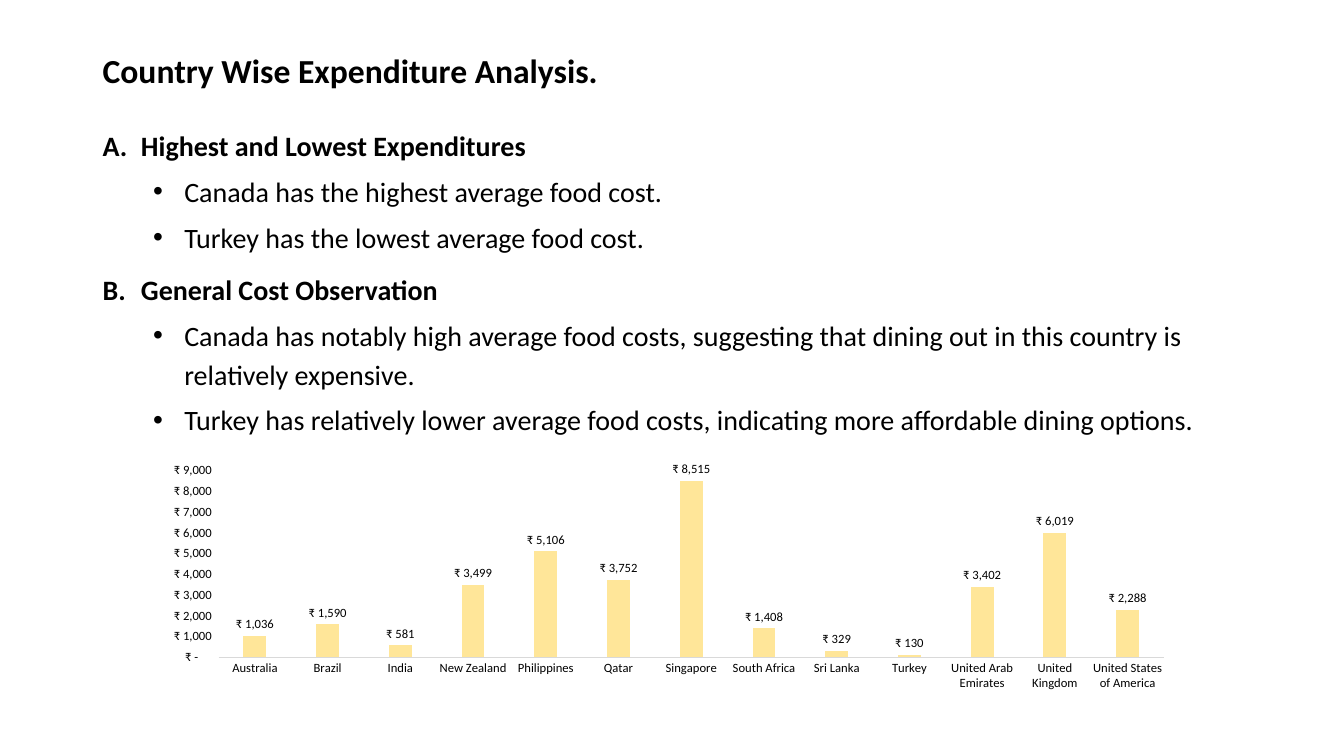
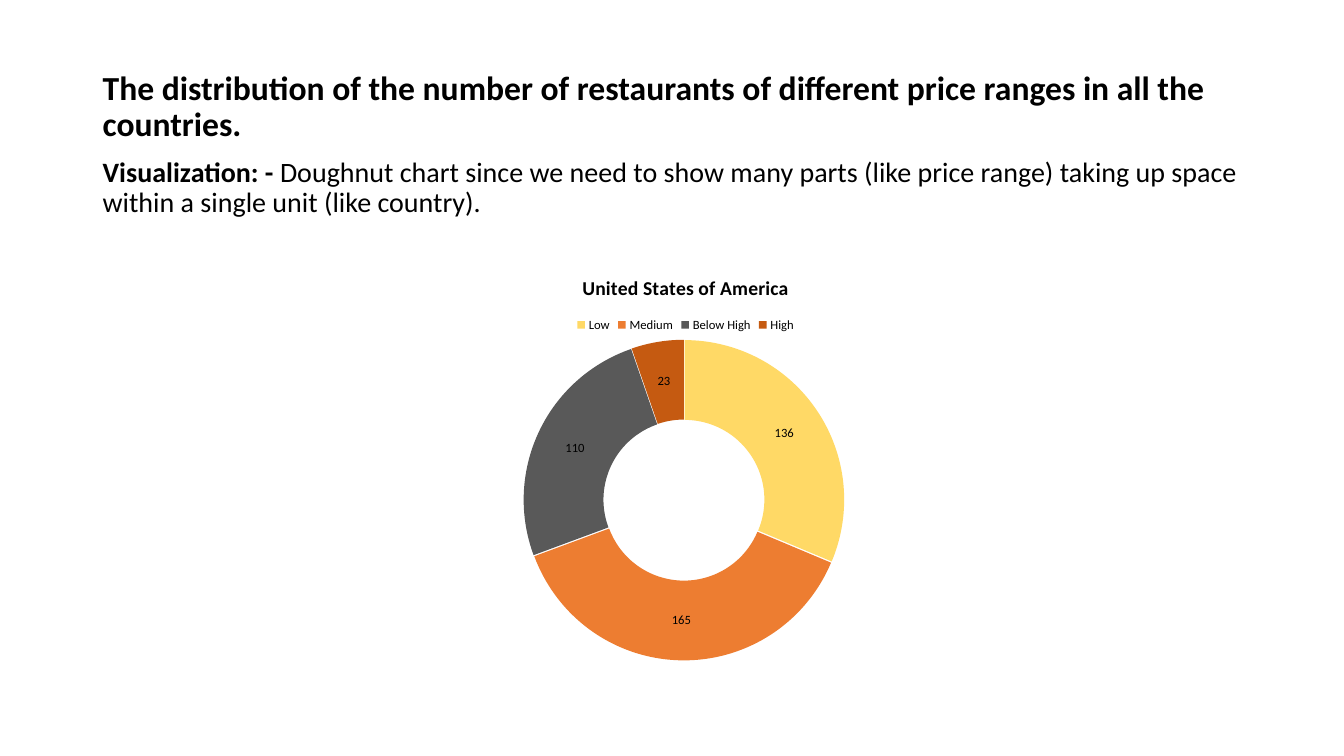
from lxml import etree
from pptx import Presentation
from pptx.chart.data import CategoryChartData
from pptx.dml.color import RGBColor
from pptx.enum.chart import XL_CHART_TYPE, XL_LABEL_POSITION, XL_LEGEND_POSITION, XL_TICK_MARK
from pptx.enum.text import MSO_ANCHOR
from pptx.oxml import parse_xml
from pptx.oxml.ns import nsdecls, qn
from pptx.util import Inches, Pt

COLUMN, DOUGHNUT = XL_CHART_TYPE.COLUMN_CLUSTERED, XL_CHART_TYPE.DOUGHNUT
ABOVE_BAR = XL_LABEL_POSITION.OUTSIDE_END
LEGEND_TOP = XL_LEGEND_POSITION.TOP
NO_TICK = XL_TICK_MARK.NONE
MIDDLE = MSO_ANCHOR.MIDDLE

FONT = "Calibri"
COLORS = {
    "text": "000000", "axis": "D9D9D9", "bar": "FFE699",
    "Low": "FFD966", "Medium": "ED7D31", "Below High": "595959", "High": "C55A11",
}
RUPEES = (r'_ [$₹-4009]\ * #,##0_ ;_ [$₹-4009]\ * \-#,##0_ ;'
          r'_ [$₹-4009]\ * "-"??_ ;_ @_ ')
LEFT, WIDTH = Inches(0.92), Inches(11.5)
TITLE_SIZE, BODY_SIZE, CHART_SIZE = 24, 20, 9


def set_font(font, size, bold=False):
    font.name, font.size, font.bold = FONT, Pt(size), bold
    font.color.rgb = RGBColor.from_string(COLORS["text"])


def add_chart(slide, kind, box, series_name, values):
    """Add a one-series chart with value labels; return the chart and its plot."""
    data = CategoryChartData()
    data.categories = list(values)
    data.add_series(series_name, list(values.values()))
    chart = slide.shapes.add_chart(kind, *map(Inches, box), data).chart
    set_font(chart.font, 10)
    plot = chart.plots[0]
    plot.has_data_labels = True
    plot.data_labels.show_value = True
    plot.data_labels.number_format_is_linked = False
    set_font(plot.data_labels.font, CHART_SIZE)
    return chart, plot


prs = Presentation()
prs.slide_width, prs.slide_height = Inches(13.33), Inches(7.5)
blank = prs.slide_layouts[6]

# Slide 1: expenditure by country
slide = prs.slides.add_slide(blank)
title = slide.shapes.add_textbox(LEFT, Inches(0.4), WIDTH, Inches(0.64)).text_frame
title.word_wrap = True
title.vertical_anchor = MIDDLE
title.text = "Country Wise Expenditure Analysis."
title.paragraphs[0].line_spacing = 0.9
set_font(title.paragraphs[0].font, TITLE_SIZE, True)

findings = {
    "Highest and Lowest Expenditures": [
        "Canada has the highest average food cost.",
        "Turkey has the lowest average food cost.",
    ],
    "General Cost Observation": [
        "Canada has notably high average food costs, suggesting that dining out "
        "in this country is relatively expensive.",
        "Turkey has relatively lower average food costs, indicating more "
        "affordable dining options.",
    ],
}
outline = [(head, 0, number) for number, head in enumerate(findings, 1)]
outline = [line for head, level, number in outline
           for line in [(head, level, number)] + [(text, 1, number) for text in findings[head]]]

body = slide.shapes.add_textbox(LEFT, Inches(1.18), WIDTH, Inches(3.37)).text_frame
body.word_wrap = True
for i, (text, level, number) in enumerate(outline):
    paragraph = body.add_paragraph() if i else body.paragraphs[0]
    paragraph.text = text
    paragraph.level = level
    paragraph.line_spacing = 1.15
    paragraph.space_before = Pt(5 if level else 10)
    set_font(paragraph.font, BODY_SIZE, level == 0)
    margin, hanging = (0.81, 0.31) if level else (0.38, 0.38)
    props = paragraph._p.get_or_add_pPr()
    props.set("marL", str(Inches(margin)))
    props.set("indent", str(-Inches(hanging)))
    if level:
        bullets = [f'<a:buFont {nsdecls("a")} typeface="Arial"/>',
                   f'<a:buChar {nsdecls("a")} char="•"/>']
    else:
        bullets = [f'<a:buAutoNum {nsdecls("a")} type="alphaUcPeriod" startAt="{number}"/>']
    default_run = props.find(qn("a:defRPr"))
    for bullet in bullets:
        default_run.addprevious(parse_xml(bullet))

average_costs = {
    "Australia": 1036, "Brazil": 1590, "India": 581, "New Zealand": 3499,
    "Philippines": 5106, "Qatar": 3752, "Singapore": 8515, "South Africa": 1408,
    "Sri Lanka": 329, "Turkey": 130, "United Arab Emirates": 3402,
    "United Kingdom": 6019, "United States of America": 2288,
}
chart, plot = add_chart(slide, COLUMN, (1.49, 4.55, 10.26, 2.35), "Series 1", average_costs)
chart.has_title = chart.has_legend = False
plot.gap_width, plot.overlap = 219, -27
plot.vary_by_categories = False
plot.data_labels.position = ABOVE_BAR
plot.data_labels.number_format = RUPEES
bars = plot.series[0].format.fill
bars.solid()
bars.fore_color.rgb = RGBColor.from_string(COLORS["bar"])

countries, costs = chart.category_axis, chart.value_axis
for axis in (countries, costs):
    axis.has_major_gridlines = False
    axis.major_tick_mark = axis.minor_tick_mark = NO_TICK
    set_font(axis.tick_labels.font, CHART_SIZE)
countries.format.line.color.rgb = RGBColor.from_string(COLORS["axis"])
countries.format.line.width = Pt(0.75)
costs.format.line.fill.background()
costs.minimum_scale, costs.maximum_scale, costs.major_unit = 0, 9000, 1000
costs.tick_labels.number_format = RUPEES
costs.tick_labels.number_format_is_linked = False

# Slide 2: restaurants by price range
slide = prs.slides.add_slide(blank)
intro = slide.shapes.add_textbox(LEFT, Inches(0.66), WIDTH, Inches(1.75)).text_frame
intro.word_wrap = True
heading, reason = intro.paragraphs[0], intro.add_paragraph()
heading.text = ("The distribution of the number of restaurants of different price "
                "ranges in all the countries.")
set_font(heading.font, TITLE_SIZE, True)
set_font(reason.font, BODY_SIZE)
for paragraph in (heading, reason):
    paragraph.line_spacing = 0.9
reason.space_before = Pt(10)
lead = reason.add_run()
lead.text = "Visualization: - "
lead.font.bold = True
reason.add_run().text = ("Doughnut chart since we need to show many parts (like price range) "
                         "taking up space within a single unit (like country).")

country = "United States of America"
restaurants = {"Low": 136, "Medium": 165, "Below High": 110, "High": 23}
chart, plot = add_chart(slide, DOUGHNUT, (1.48, 2.54, 10.64, 4.42), country, restaurants)
plot.data_labels.number_format = "0"
plot.data_labels.show_percentage = False
chart.has_title = True
chart.chart_title.text_frame.text = country
set_font(chart.chart_title.text_frame.paragraphs[0].font, 14, True)
chart.has_legend = True
chart.legend.position = LEGEND_TOP
chart.legend.include_in_layout = False
set_font(chart.legend.font, CHART_SIZE)

ring = plot.series[0]
for i, price_range in enumerate(restaurants):
    fill = ring.points[i].format.fill
    fill.solid()
    fill.fore_color.rgb = RGBColor.from_string(COLORS[price_range])

# Gaps between slices, hole size and plot position have no public methods
first_slice = ring._element.find(qn("c:dPt"))
first_slice.addprevious(parse_xml(f'<c:explosion {nsdecls("c")} val="1"/>'))
chart_xml = chart._chartSpace
next(chart_xml.iter(qn("c:holeSize"))).set("val", "59")
plot_area = next(chart_xml.iter(qn("c:plotArea")))
for old_layout in plot_area.findall(qn("c:layout")):
    plot_area.remove(old_layout)
layout = etree.Element(qn("c:layout"))
manual = etree.SubElement(layout, qn("c:manualLayout"))
for tag, value in {"layoutTarget": "inner", "xMode": "edge", "yMode": "edge",
                   "x": "0.349", "y": "0.185", "w": "0.299", "h": "0.726"}.items():
    etree.SubElement(manual, qn(f"c:{tag}")).set("val", value)
plot_area.insert(0, layout)

prs.save("out.pptx")
